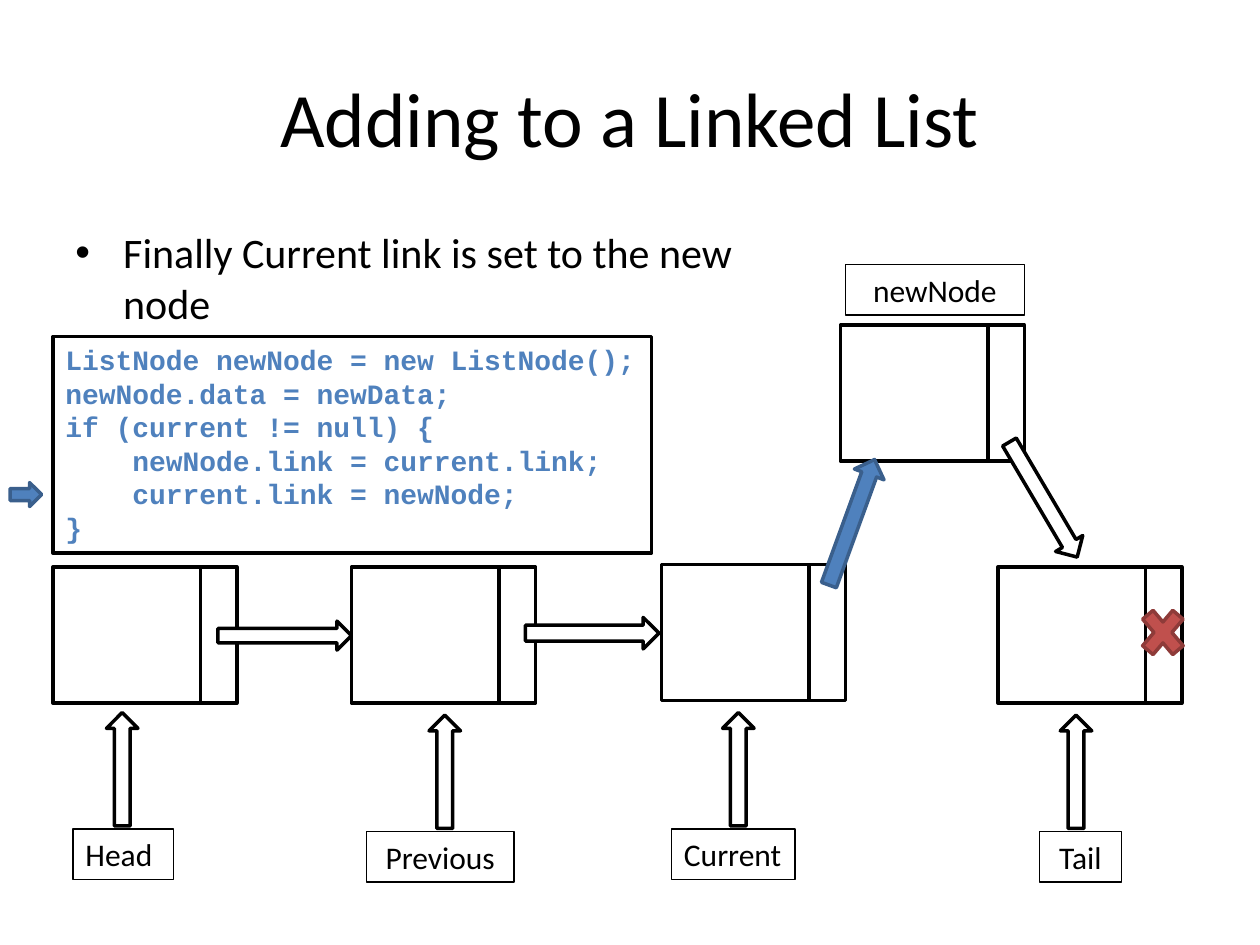
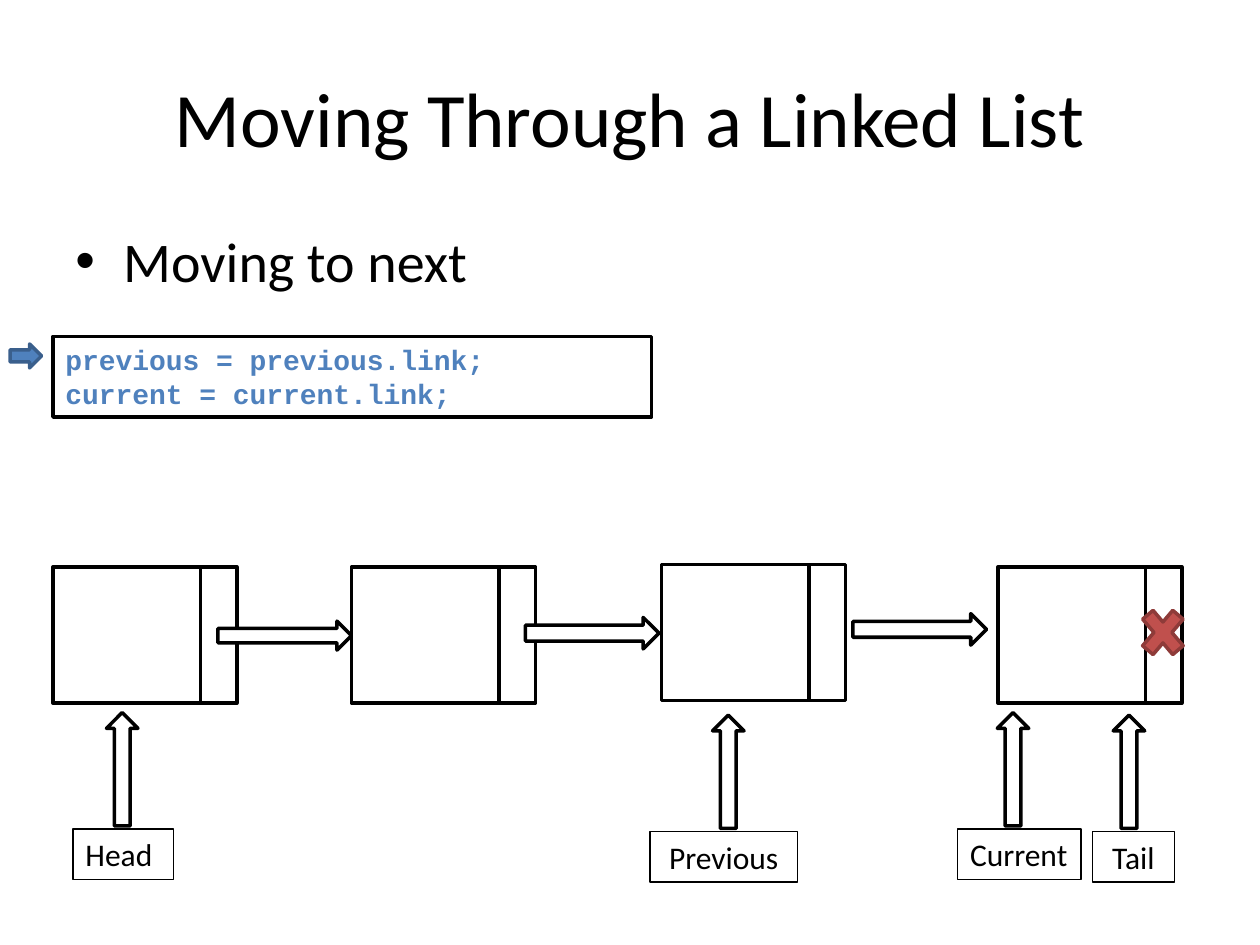
"""Build two slides that show how a linked list is changed and walked."""
from dataclasses import dataclass

import pptx
import pptx.dml.color
import pptx.enum.shapes
import pptx.enum.text
import pptx.oxml
import pptx.util
from pptx.util import Inches

SHAPE = pptx.enum.shapes.MSO_SHAPE
ALIGN = pptx.enum.text.PP_ALIGN
ANCHOR = pptx.enum.text.MSO_ANCHOR


@dataclass(frozen=True)
class Theme:
    """Colours, fonts and type sizes shared by the slides."""

    black: str = "000000"
    white: str = "FFFFFF"
    blue: str = "4F81BD"
    dark_blue: str = "3A5F8C"
    red: str = "C0504D"
    dark_red: str = "8E3B39"
    font: str = "Calibri"
    code_font: str = "Courier New"
    title: int = 44
    label: int = 18
    code: int = 16
    thick: float = 2
    thin: float = 0.75


THEME = Theme()
NODES = [(0.42, 4.5), (2.79, 4.5), (5.25, 4.48), (7.92, 4.5)]
POINTERS = {
    "Head": (0.8, 6.58, ALIGN.LEFT),
    "Previous": (1.17, 6.6, ALIGN.CENTER),
    "Current": (0.98, 6.58, ALIGN.LEFT),
    "Tail": (0.65, 6.6, ALIGN.CENTER),
}


def rgb(value):
    """Turn a hex string into a colour."""
    return pptx.dml.color.RGBColor.from_string(value)


def format_runs(tf, size, color=THEME.black, font=THEME.font, bold=False):
    """Give every run of a text frame the same type."""
    for p in tf.paragraphs:
        for r in p.runs:
            r.font.name = font
            r.font.size = pptx.util.Pt(size)
            r.font.bold = bold
            r.font.color.rgb = rgb(color)


def add_shape(shapes, kind, box, fill=THEME.white, line=THEME.black, weight=THEME.thick, rotation=0):
    """Add a flat preset shape; a fill of None leaves it clear."""
    sp = shapes.add_shape(kind, *map(Inches, box))
    sp.shadow.inherit = False
    if fill is None:
        sp.fill.background()
    else:
        sp.fill.solid()
        sp.fill.fore_color.rgb = rgb(fill)
    sp.line.color.rgb = rgb(line)
    sp.line.width = pptx.util.Pt(weight)
    sp.rotation = rotation
    return sp


def add_title(s, text):
    """Place and format the slide title."""
    sp = s.shapes.title
    sp.left, sp.top, sp.width, sp.height = map(Inches, (0.5, 0.3, 9, 1.25))
    tf = sp.text_frame
    tf.text = text
    tf.vertical_anchor = ANCHOR.MIDDLE
    tf.paragraphs[0].alignment = ALIGN.CENTER
    format_runs(tf, THEME.title)


def add_bullet(s, text, width, size):
    """Add the bulleted statement under the title."""
    tf = s.shapes.add_textbox(*map(Inches, (0.5, 1.75, width, 4.95))).text_frame
    tf.word_wrap = True
    tf.text = text
    p = tf.paragraphs[0]
    p.space_before = pptx.util.Pt(size * 0.2)
    pPr = p._p.get_or_add_pPr()
    pPr.set("marL", str(Inches(0.38)))
    pPr.set("indent", str(Inches(-0.38)))
    ns = "http://schemas.openxmlformats.org/drawingml/2006/main"
    pPr.append(pptx.oxml.parse_xml(f'<a:buFont xmlns:a="{ns}" typeface="Arial"/>'))
    pPr.append(pptx.oxml.parse_xml(f'<a:buChar xmlns:a="{ns}" char="•"/>'))
    format_runs(tf, size)


def add_node(s, left, top):
    """Add a list node: a data cell grouped with a link cell."""
    group = s.shapes.add_group_shape()
    for x, width in ((left, 1.17), (left + 1.17, 0.29)):
        add_shape(group.shapes, SHAPE.RECTANGLE, (x, top, width, 1.08))


def add_arrow(s, left, top, width=1.06, height=0.25, rotation=0, active=False):
    """Add a block arrow, blue when it marks the current step."""
    fill, line = (THEME.blue, THEME.dark_blue) if active else (THEME.white, THEME.black)
    add_shape(s.shapes, SHAPE.RIGHT_ARROW, (left, top, width, height), fill, line, rotation=rotation)


def add_label(s, text, left, top, width, align=ALIGN.CENTER):
    """Add a thinly framed name."""
    sp = add_shape(s.shapes, SHAPE.RECTANGLE, (left, top, width, 0.4), None, weight=THEME.thin)
    tf = sp.text_frame
    tf.text = text
    tf.vertical_anchor = ANCHOR.TOP
    tf.paragraphs[0].alignment = align
    if align == ALIGN.LEFT:
        tf.margin_right = 0
    format_runs(tf, THEME.label)


def add_pointer(s, name, label_left, arrow_left):
    """Add a named pointer with its arrow rising to a node."""
    width, top, align = POINTERS[name]
    add_label(s, name, label_left, top, width, align)
    add_arrow(s, arrow_left, top - 0.6, width=0.9, rotation=270)


def add_list(s):
    """Add the four nodes, the first two links and the end mark."""
    for left, top in NODES:
        add_node(s, left, top)
    add_arrow(s, 1.73, 4.93, height=0.23)
    add_arrow(s, 4.17, 4.9)
    add_shape(s.shapes, SHAPE.MATH_MULTIPLY, (9, 4.75, 0.46, 0.54), THEME.red, THEME.dark_red)


def add_code(s, lines, height, marker_top):
    """Add the code box and the arrow that marks the running line."""
    sp = add_shape(s.shapes, SHAPE.RECTANGLE, (0.42, 2.67, 4.75, height))
    tf = sp.text_frame
    tf.text = "\n".join(lines)
    tf.vertical_anchor = ANCHOR.TOP
    for p in tf.paragraphs:
        p.alignment = ALIGN.LEFT
    format_runs(tf, THEME.code, THEME.blue, THEME.code_font, bold=True)
    add_arrow(s, 0.08, marker_top, 0.25, 0.19, active=True)


def start_slide(prs, title, bullet, bullet_width, bullet_size):
    """Add a slide with its title, bullet and list."""
    s = prs.slides.add_slide(prs.slide_layouts[5])
    add_title(s, title)
    add_bullet(s, bullet, bullet_width, bullet_size)
    add_list(s)
    return s


def build_adding(prs):
    """Build the slide that links a new node into the list."""
    s = start_slide(prs, "Adding to a Linked List", "Finally Current link is set to the new node", 6.06, 24)
    add_pointer(s, "Head", 0.58, 0.52)
    add_pointer(s, "Current", 5.33, 5.41)
    add_node(s, 6.67, 2.58)
    add_pointer(s, "Tail", 8.25, 8.09)
    add_label(s, "newNode", 6.71, 2.1, 1.42)
    add_arrow(s, 7.75, 3.84, rotation=59.5)
    add_arrow(s, 6.23, 4.02, rotation=290, active=True)
    add_pointer(s, "Previous", 2.91, 3.08)
    code = [
        "ListNode newNode = new ListNode();",
        "newNode.data = newData;",
        "if (current != null) {",
        "    newNode.link = current.link;",
        "    current.link = newNode;",
        "}",
    ]
    add_code(s, code, 1.72, 3.83)


def build_moving(prs):
    """Build the slide that moves the pointers one node on."""
    s = start_slide(prs, "Moving Through a Linked List", "Moving to next", 9, 32)
    add_pointer(s, "Head", 0.58, 0.52)
    add_pointer(s, "Current", 7.6, 7.59)
    add_pointer(s, "Tail", 8.67, 8.51)
    add_arrow(s, 6.77, 4.87)
    add_pointer(s, "Previous", 5.16, 5.33)
    add_code(s, ["previous = previous.link;", "current = current.link;"], 0.64, 2.73)


def main():
    """Build and save the presentation."""
    prs = pptx.Presentation()
    prs.slide_width, prs.slide_height = Inches(10), Inches(7.5)
    build_adding(prs)
    build_moving(prs)
    prs.save("out.pptx")


if __name__ == "__main__":
    main()
